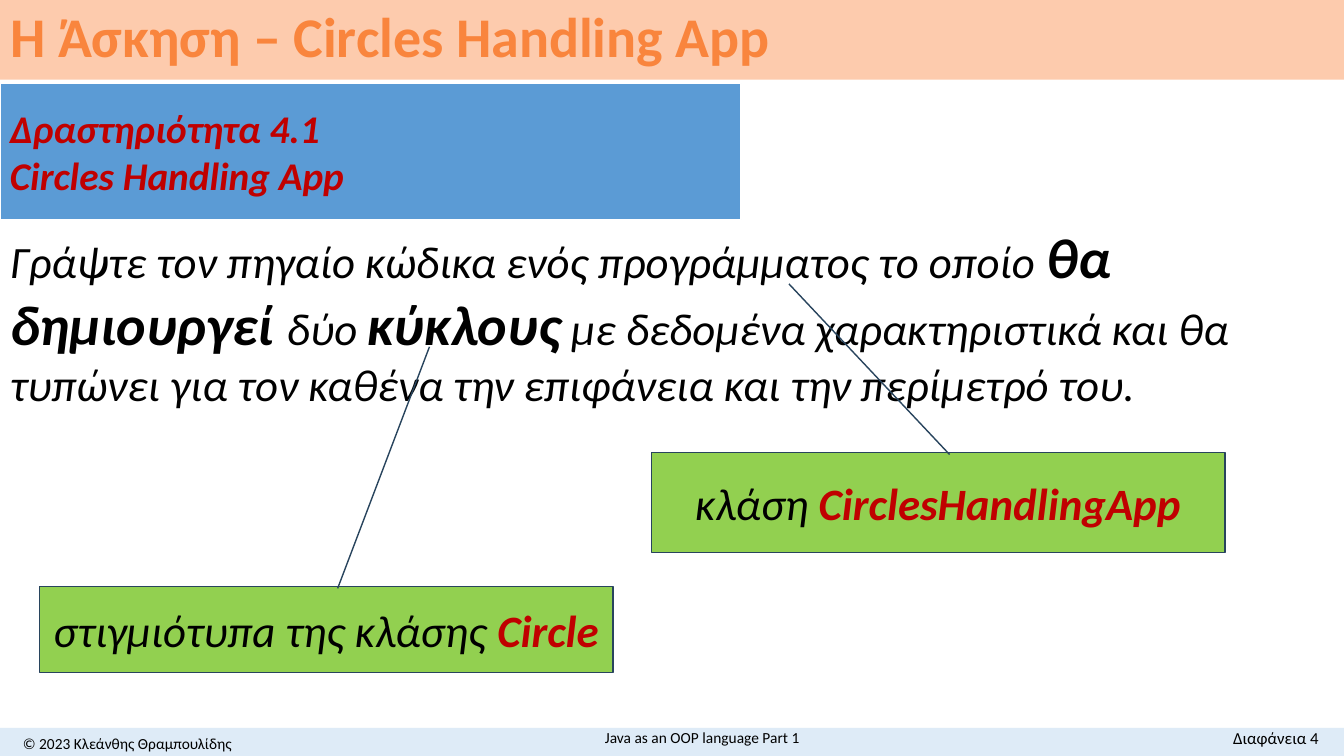
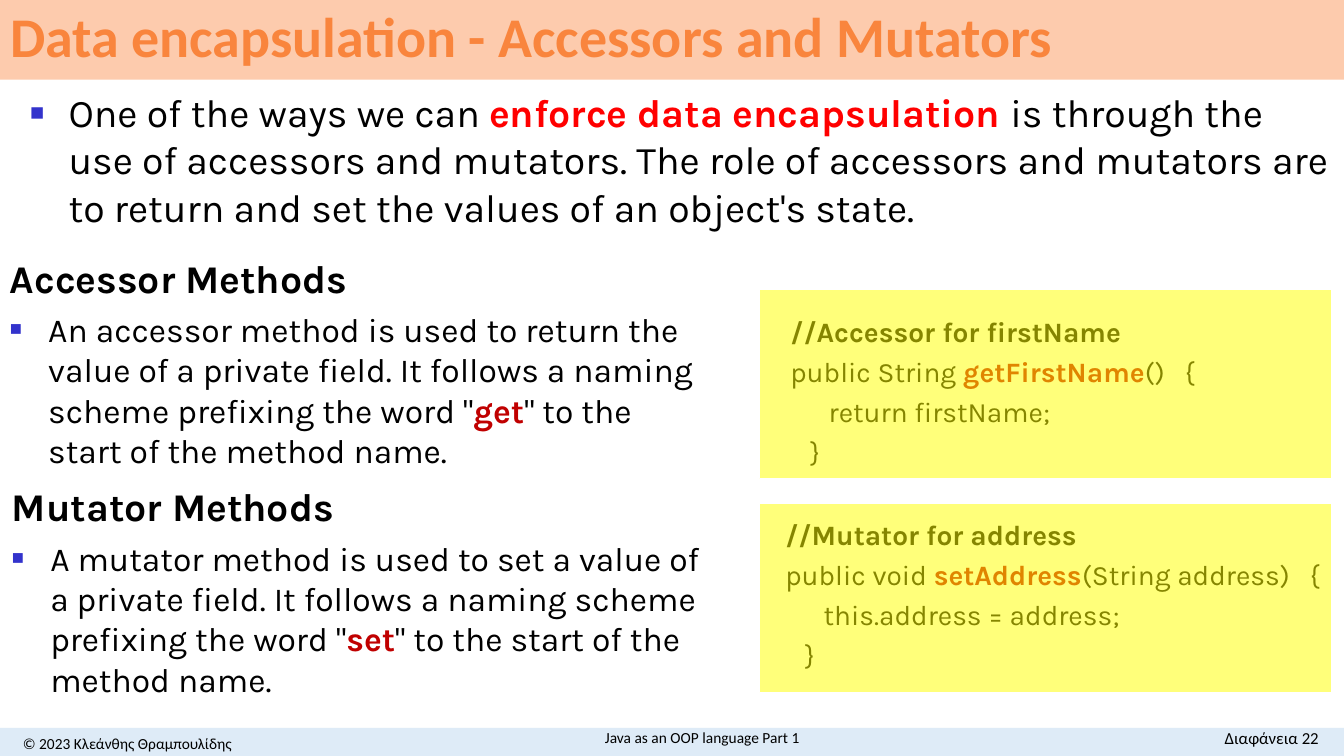
from lxml.etree import SubElement
from pptx import Presentation
from pptx.dml.color import RGBColor
from pptx.enum.shapes import MSO_SHAPE
from pptx.enum.text import MSO_ANCHOR, MSO_AUTO_SIZE, PP_ALIGN
from pptx.oxml.ns import qn
from pptx.util import Inches, Pt

BLACK = RGBColor(0x00, 0x00, 0x00)
WHITE = RGBColor(0xFF, 0xFF, 0xFF)
PEACH = RGBColor(0xFD, 0xCB, 0xAD)
ORANGE = RGBColor(0xF9, 0x85, 0x3D)
PALE_BLUE = RGBColor(0xDE, 0xEB, 0xF7)
BLUE = RGBColor(0x5B, 0x9B, 0xD5)
NAVY = RGBColor(0x28, 0x44, 0x5D)
GREEN = RGBColor(0x92, 0xD0, 0x50)
YELLOW = RGBColor(0xFF, 0xFF, 0x00)
DARK_RED = RGBColor(0xC0, 0x00, 0x00)
RED = RGBColor(0xFF, 0x00, 0x00)
BULLET_COLOR = "3333CC"
HEAD_FONT, BODY_FONT = "Calibri", "Karla"
KEY = {"bold": True, "color": DARK_RED}
BIG = {"bold": True, "size": 40}


def add_text(sp, paras, size=32, font=HEAD_FONT, color=BLACK, bold=False, italic=False,
             align=PP_ALIGN.LEFT, anchor=MSO_ANCHOR.TOP, hang=0, bullet_from=None,
             space=0, line=1.0):
    tf = sp.text_frame
    tf.word_wrap = True
    tf.auto_size = MSO_AUTO_SIZE.NONE
    tf.vertical_anchor = anchor
    for i, runs in enumerate(paras):
        p = tf.paragraphs[0] if i == 0 else tf.add_paragraph()
        pPr = p._p.get_or_add_pPr()
        pPr.set("marL", str(Inches(hang)))
        pPr.set("indent", str(-Inches(hang)))
        if bullet_from is not None and i >= bullet_from:
            clr = SubElement(pPr, qn("a:buClr"))
            SubElement(clr, qn("a:srgbClr"), val=BULLET_COLOR)
            SubElement(pPr, qn("a:buSzPct"), val="60000")
            SubElement(pPr, qn("a:buFont"), typeface="Arial")
            SubElement(pPr, qn("a:buChar"), char="■")
        else:
            SubElement(pPr, qn("a:buNone"))
        p.alignment = align
        p.line_spacing = line
        p.space_before = Pt(space if i else 0)
        for text, fmt in runs:
            r = p.add_run()
            r.text = text
            r.font.name = font
            r.font.size = Pt(fmt.get("size", size))
            r.font.bold = fmt.get("bold", bold)
            r.font.italic = italic
            r.font.color.rgb = fmt.get("color", color)


def add_box(s, box, fill, line=None, kind=MSO_SHAPE.RECTANGLE):
    sp = s.shapes.add_shape(kind, *map(Inches, box))
    sp.shadow.inherit = False
    sp.fill.solid()
    sp.fill.fore_color.rgb = fill
    if line is None:
        sp.line.fill.background()
    else:
        sp.line.color.rgb = line
        sp.line.width = Pt(1)
    return sp


prs = Presentation()
prs.slide_width, prs.slide_height = Inches(13.33), Inches(7.5)

slides = []
for title, number, body_box in [
    ("H Άσκηση – Circles Handling App", 4, (0, 2.16, 13.33, 1.99)),
    ("Data encapsulation - Accessors and Mutators", 22, (0.2, 0.83, 13.13, 1.65)),
]:
    s = prs.slides.add_slide(prs.slide_layouts[1])
    slides.append(s)
    sp, body = s.placeholders
    sp.left, sp.top, sp.width, sp.height = map(Inches, (0, 0, 13.33, 0.79))
    body.left, body.top, body.width, body.height = map(Inches, body_box)
    sp.fill.solid()
    sp.fill.fore_color.rgb = PEACH
    add_text(sp, [[(title, {})]], size=40, color=ORANGE, bold=True,
             anchor=MSO_ANCHOR.MIDDLE, line=0.9)
    add_box(s, (0, 7.22, 13.33, 0.28), PALE_BLUE)
    for text, box, size, align, anchor in [
        ("© 2023 Κλεάνθης Θραμπουλίδης", (0, 7.22, 2.53, 0.3), 11,
         PP_ALIGN.CENTER, MSO_ANCHOR.MIDDLE),
        ("Java as an OOP language Part 1", (3.62, 7.17, 6.69, 0.3), 11,
         PP_ALIGN.CENTER, MSO_ANCHOR.MIDDLE),
        (f"Διαφάνεια {number}", (11.12, 7.17, 2.06, 0.3), 12,
         PP_ALIGN.RIGHT, MSO_ANCHOR.TOP),
    ]:
        sp = s.shapes.add_textbox(*map(Inches, box))
        add_text(sp, [[(text, {})]], size=size, align=align, anchor=anchor)

s = slides[0]
activity = add_box(s, (0, 0.83, 7.35, 1.35), BLUE, WHITE)
add_text(activity, [[("Δραστηριότητα 4.1", {})], [("Circles Handling App", {})]],
         size=28, color=DARK_RED, bold=True, italic=True, anchor=MSO_ANCHOR.MIDDLE)
add_text(s.placeholders[1], [[
    ("Γράψτε τον πηγαίο κώδικα ενός προγράμματος το οποίο ", {}),
    ("θα δημιουργεί ", BIG),
    ("δύο ", {}),
    ("κύκλους", BIG),
    (" με δεδομένα χαρακτηριστικά και θα τυπώνει για τον καθένα την επιφάνεια "
     "και την περίμετρό του.", {}),
]], italic=True)
for text, name, box, tip in [
    ("κλάση ", "CirclesHandlingApp", (6.46, 4.49, 5.69, 0.99), (-1.69, 0.24)),
    ("στιγμιότυπa της κλάσης ", "Circle", (0.39, 5.82, 5.69, 0.85), (-2.8, 0.68)),
]:
    callout = add_box(s, box, GREEN, NAVY, MSO_SHAPE.LINE_CALLOUT_1)
    for i, value in enumerate((0.02, 0.52, *tip)):
        callout.adjustments[i] = value
    add_text(callout, [[(text, {}), (name, KEY)]], italic=True,
             align=PP_ALIGN.CENTER, anchor=MSO_ANCHOR.MIDDLE)

s = slides[1]
add_text(s.placeholders[1], [[
    ("One of the ways we can ", {}),
    ("enforce data encapsulation ", {"bold": True, "color": RED}),
    ("is through the use of accessors and mutators. The role of accessors and mutators "
     "are to return and set the values of an object's state.", {}),
]], size=28, font=BODY_FONT, hang=0.38, bullet_from=0)

for heading, intro, prefix, box in [
    ("Accessor Methods",
     "An accessor method is used to return the value of a private field. ",
     "get", (0, 2.47, 7.05, 2.52)),
    ("Mutator Methods",
     "A mutator method is used to set a value of a private field. ",
     "set", (0.02, 4.74, 7.05, 2.36)),
]:
    sp = s.shapes.add_textbox(*map(Inches, box))
    add_text(sp, [
        [(heading, {"size": 28, "bold": True})],
        [(intro + 'It follows a naming scheme prefixing the word "', {}),
         (prefix, KEY),
         ('" to the start of the method name.', {})],
    ], size=24, font=BODY_FONT, hang=0.38, bullet_from=1, space=5.6)

for comment, start, method, args, statement, box, panel_top in [
    ("//Accessor for firstName", "public String ", "getFirstName", "()   {",
     "return firstName;", (7.74, 3.07, 5.51, 1.65), 2.87),
    ("//Mutator for address", "public void ", "setAddress", "(String address)   {",
     "this.address = address;", (7.69, 5.08, 5.64, 1.68), 4.99),
]:
    sp = s.shapes.add_textbox(*map(Inches, box))
    add_text(sp, [
        [(comment, {"bold": True})],
        [(start, {}), (method, KEY), (args, {})],
        [("\t" + statement, {})],
        [("   }", {})],
    ], size=20, font=BODY_FONT, hang=0.38, space=4.6)
    panel = add_box(s, (7.53, panel_top, 5.68, 1.88), YELLOW, WHITE)
    clr = panel.fill._xPr.find(qn("a:solidFill"))[0]
    SubElement(clr, qn("a:alpha"), val="52000")

prs.save("out.pptx")
